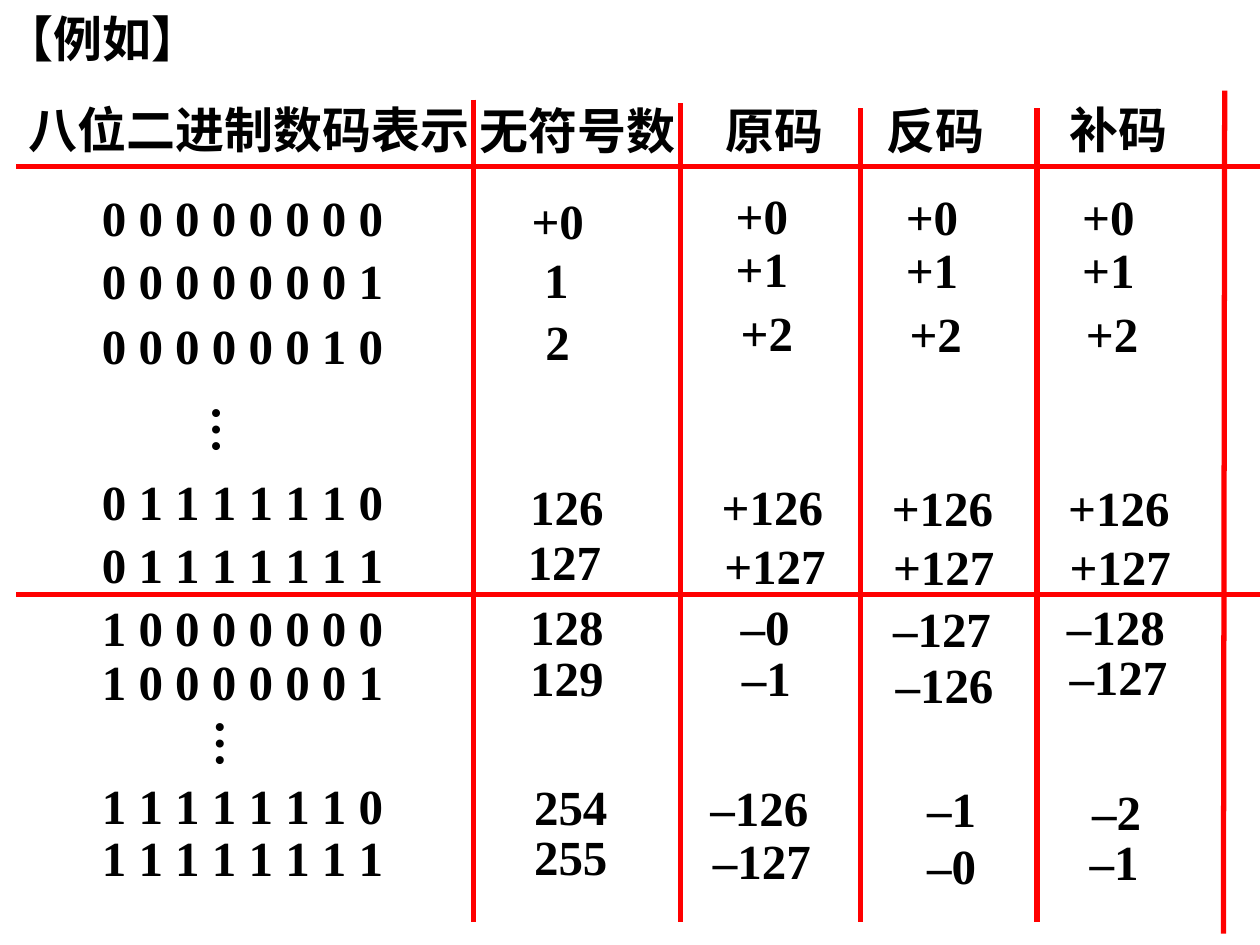
import pptx
import pptx.dml.color
import pptx.enum.shapes
import pptx.enum.text
import pptx.oxml.ns
import pptx.util
from lxml import etree
from pptx.util import Inches

FONT = "Times New Roman"
MIDDLE = pptx.enum.text.MSO_ANCHOR.MIDDLE
BOTTOM = pptx.enum.text.MSO_ANCHOR.BOTTOM
ROW_H = 0.57


def rgb(value):
    return pptx.dml.color.RGBColor.from_string(value)


def add_text(text, left, top, width, height=ROW_H, anchor=MIDDLE, drop=0):
    """Add a bold 28 pt label; drop lowers the text within its box."""
    sp = s.shapes.add_textbox(Inches(left), Inches(top), Inches(width), Inches(height))
    tf = sp.text_frame
    tf.word_wrap = True
    tf.vertical_anchor = anchor
    tf.margin_top = Inches(0.05 + drop)
    tf.margin_bottom = Inches(0.05 - drop)
    tf.text = text
    r = tf.paragraphs[0].runs[0]
    r.font.name = FONT
    r.font.size = pptx.util.Pt(28)
    r.font.bold = True
    r.font.color.rgb = rgb("000000")
    return sp


prs = pptx.Presentation()
prs.slide_width = Inches(10)
prs.slide_height = Inches(7.5)
s = prs.slides.add_slide(prs.slide_layouts[6])

add_text("【例如】", -0.06, 0.09, 1.89, 0.49, BOTTOM)

# Rules of the grid: x1, y1, x2, y2
rules = [
    (0.13, 1.32, 10.13, 1.32),
    (0.13, 4.72, 10.13, 4.72),
    (3.76, 0.79, 3.76, 7.32),
    (5.4, 0.82, 5.4, 7.32),
    (6.83, 0.86, 6.83, 7.32),
    (8.23, 0.86, 8.23, 7.32),
    (9.72, 0.72, 9.71, 7.41),
]
for ends in rules:
    line = s.shapes.add_connector(
        pptx.enum.shapes.MSO_CONNECTOR.STRAIGHT, *[Inches(v) for v in ends])
    line.line.color.rgb = rgb("FF0000")
    line.line.width = pptx.util.Pt(3)
    etree.SubElement(line._element.spPr, pptx.oxml.ns.qn("a:effectLst"))

headings = [
    ("八位二进制数码表示", 0.13, 0.74, 3.83),
    ("无符号数", 3.71, 0.75, 1.85),
    ("原码", 5.66, 0.75, 1.11),
    ("反码", 6.94, 0.75, 1.14),
    ("补码", 8.39, 0.74, 1.14),
]
for heading in headings:
    add_text(*heading)

# Each column: values, left edges, top edges
numbers = [0, 1, 2, 126, 127, 128, 129, 254, 255]
positive = ["+0", "+1", "+2", "+126", "+127"]
columns = [
    ([" ".join(f"{n:08b}") for n in numbers],
     [0.71] * 9,
     [1.41, 1.91, 2.42, 3.66, 4.16, 4.66, 5.09, 6.07, 6.49]),
    (["+0"] + [str(n) for n in numbers[1:]],
     [4.12, 4.22, 4.23, 4.11, 4.09, 4.11, 4.11, 4.14, 4.14],
     [1.43, 1.9, 2.39, 3.7, 4.14, 4.65, 5.06, 6.08, 6.48]),
    (positive + ["–0", "–1", "–126", "–127"],
     [5.74, 5.74, 5.78, 5.63, 5.65, 5.78, 5.79, 5.54, 5.56],
     [1.39, 1.81, 2.32, 3.7, 4.17, 4.65, 5.06, 6.09, 6.51]),
    (positive + ["–127", "–126", "–1", "–0"],
     [7.09, 7.09, 7.12, 6.98, 6.99, 6.99, 7.01, 7.26, 7.26],
     [1.4, 1.82, 2.33, 3.71, 4.18, 4.67, 5.11, 6.1, 6.55]),
    (positive + ["–128", "–127", "–2", "–1"],
     [8.49, 8.49, 8.52, 8.38, 8.39, 8.37, 8.39, 8.57, 8.55],
     [1.4, 1.82, 2.33, 3.71, 4.18, 4.65, 5.05, 6.12, 6.52]),
]
width_by_length = {15: 2.58, 4: 1.16}
for values, lefts, tops in columns:
    for value, left, top in zip(values, lefts, tops):
        add_text(value, left, top, width_by_length.get(len(value), 0.91), drop=0.03)

for left, top in [(1.51, 3.12), (1.54, 5.61)]:
    sp = add_text("…", left, top, 0.67, 1.08)
    sp.text_frame._txBody.bodyPr.set("vert", "eaVert")

prs.save("out.pptx")
